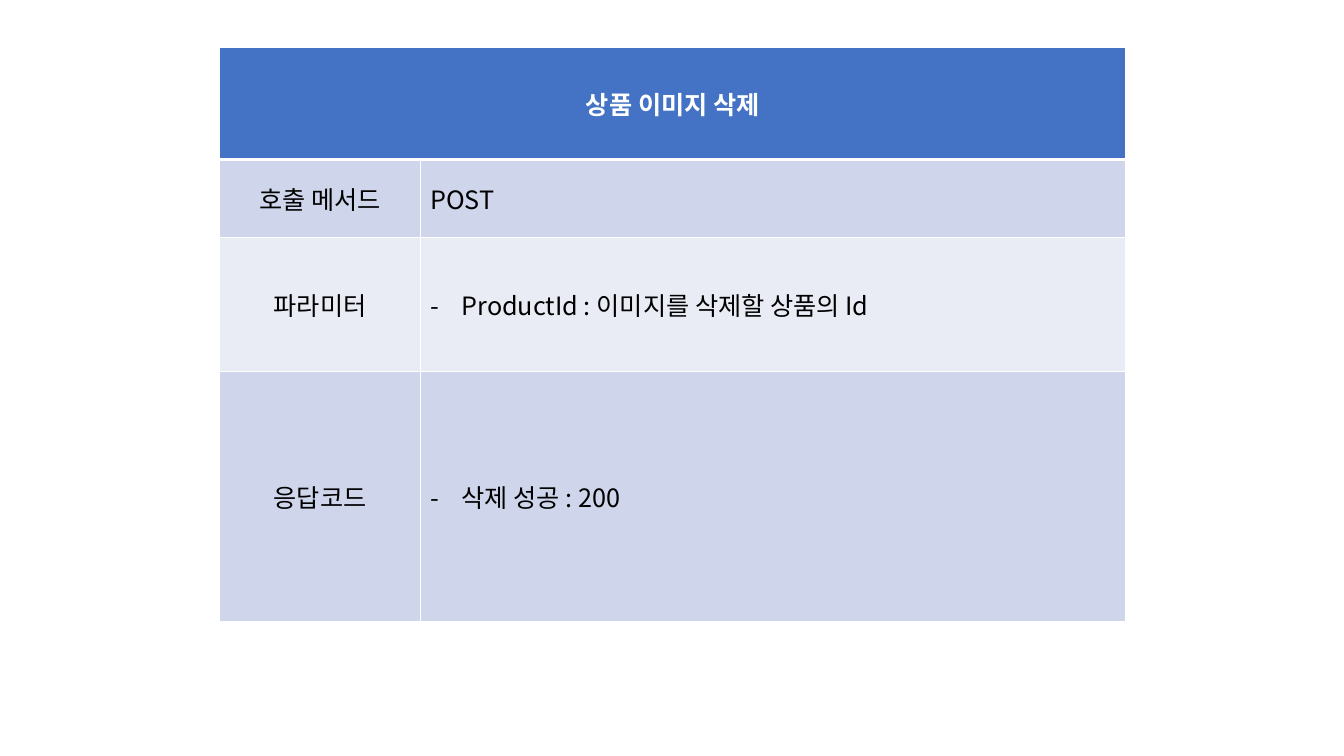
import dataclasses

import lxml.etree
import pptx
import pptx.dml.color
import pptx.enum.text
import pptx.oxml.ns
import pptx.table
import pptx.util
from pptx.util import Cm

FONT = "Noto Sans CJK KR"
BLUE, DARK, LIGHT = "4472C4", "CFD5EA", "E9EBF5"
WHITE, BLACK = "FFFFFF", "000000"
ALIGN = pptx.enum.text.PP_ALIGN


@dataclasses.dataclass
class Entry:
    """One labelled row of the method table."""
    label: str
    value: str
    height: float
    dash: bool = True


TITLE = "상품 이미지 삭제"
HEAD = 2.82
COLS = (5.05, 17.78)
ENTRIES = (
    Entry("호출 메서드", "POST", 1.96, dash=False),
    Entry("파라미터", "ProductId : 이미지를 삭제할 상품의 Id", 3.38),
    Entry("응답코드", "삭제 성공 : 200", 6.3),
)


def color(code: str) -> pptx.dml.color.RGBColor:
    """Turn a hex string into a colour."""
    return pptx.dml.color.RGBColor.from_string(code)


def add(parent, tag: str, **attrs: str):
    """Append a DrawingML element to its parent."""
    node = lxml.etree.SubElement(parent, pptx.oxml.ns.qn(tag))
    for name, value in attrs.items():
        node.set(name, value)
    return node


def border(cell, top: float = 1, bottom: float = 1) -> None:
    """Draw white lines on all four sides of a cell."""
    props = cell._tc.get_or_add_tcPr()
    for side, width in zip("LRTB", (1, 1, top, bottom)):
        line = add(props, f"a:ln{side}", w=str(pptx.util.Pt(width)))
        add(add(line, "a:solidFill"), "a:srgbClr", val=WHITE)


def write(cell, text: str, *, ink: str = BLACK, bold: bool = False,
          align=ALIGN.LEFT, dash: bool = False) -> None:
    """Put formatted text into a cell, with a dash bullet if asked."""
    cell.vertical_anchor = pptx.enum.text.MSO_ANCHOR.MIDDLE
    para = cell.text_frame.paragraphs[0]
    para.alignment = align
    if dash:
        props = para._p.get_or_add_pPr()
        indent = Cm(0.79)
        props.set("marL", str(indent))
        props.set("indent", str(-indent))
        add(props, "a:buFont", typeface=FONT)
        add(props, "a:buChar", char="-")
    run = para.add_run()
    run.text = text
    run.font.size = pptx.util.Pt(18)
    run.font.bold = bold
    run.font.color.rgb = color(ink)
    run.font.name = FONT
    add(run._r.get_or_add_rPr(), "a:ea", typeface=FONT)


def paint(cell, code: str, top: float = 1, bottom: float = 1) -> None:
    """Give a cell its borders and its fill."""
    border(cell, top, bottom)
    cell.fill.solid()
    cell.fill.fore_color.rgb = color(code)


def fill(table: pptx.table.Table) -> None:
    """Size the grid, then write the header and the entries."""
    for col, width in zip(table.columns, COLS):
        col.width = Cm(width)
    table.rows[0].height = Cm(HEAD)
    head = table.cell(0, 0)
    head.merge(table.cell(0, 1))
    for cell in table.rows[0].cells:
        paint(cell, BLUE, bottom=3)
    write(head, TITLE, ink=WHITE, bold=True, align=ALIGN.CENTER)
    for index, entry in enumerate(ENTRIES, 1):
        row = table.rows[index]
        row.height = Cm(entry.height)
        for cell in row.cells:
            paint(cell, DARK if index % 2 else LIGHT, top=3 if index == 1 else 1)
        label, value = row.cells
        write(label, entry.label, align=ALIGN.CENTER)
        write(value, entry.value, dash=entry.dash)


def main() -> None:
    """Build and save the slide."""
    deck = pptx.Presentation()
    deck.slide_width, deck.slide_height = Cm(33.87), Cm(19.05)
    slide = deck.slides.add_slide(deck.slide_layouts.get_by_name("Blank"))
    height = HEAD + sum(entry.height for entry in ENTRIES)
    frame = slide.shapes.add_table(len(ENTRIES) + 1, len(COLS), Cm(5.54), Cm(1.2),
                                   Cm(sum(COLS)), Cm(height))
    fill(frame.table)
    deck.save("out.pptx")


main()
